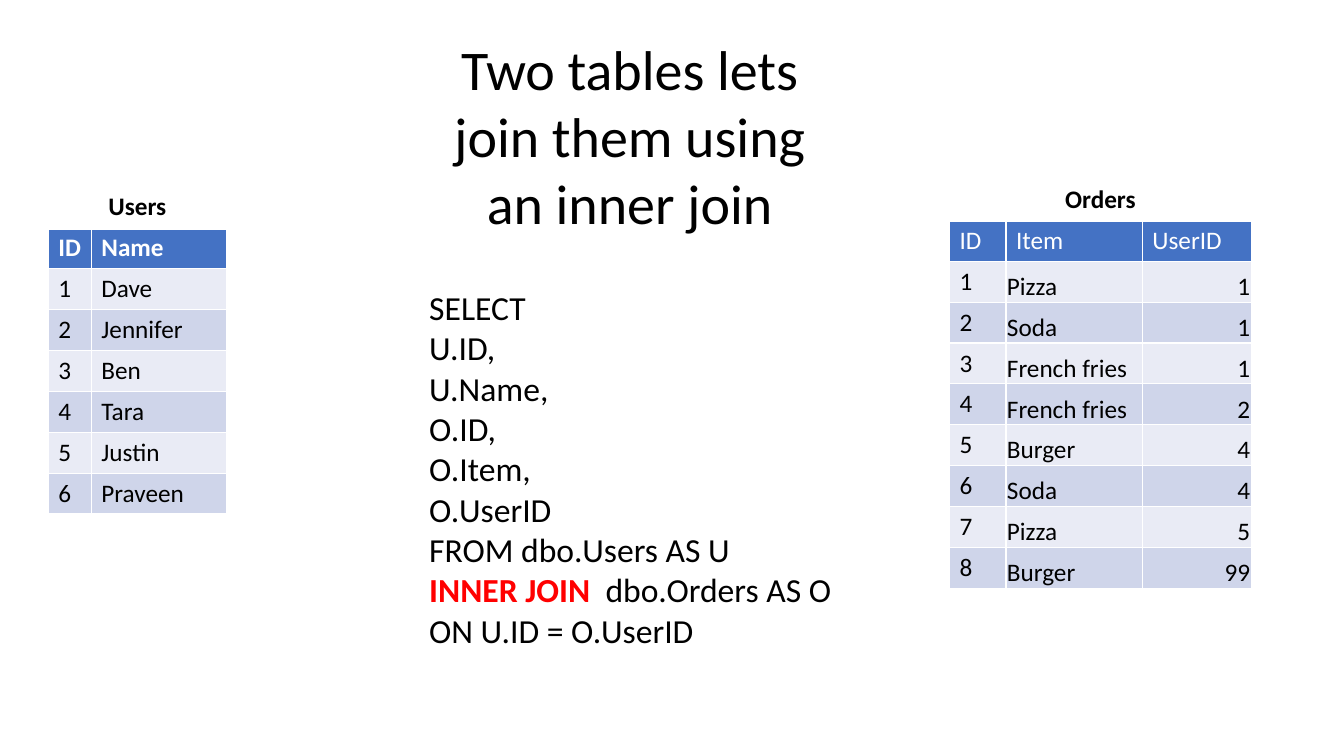
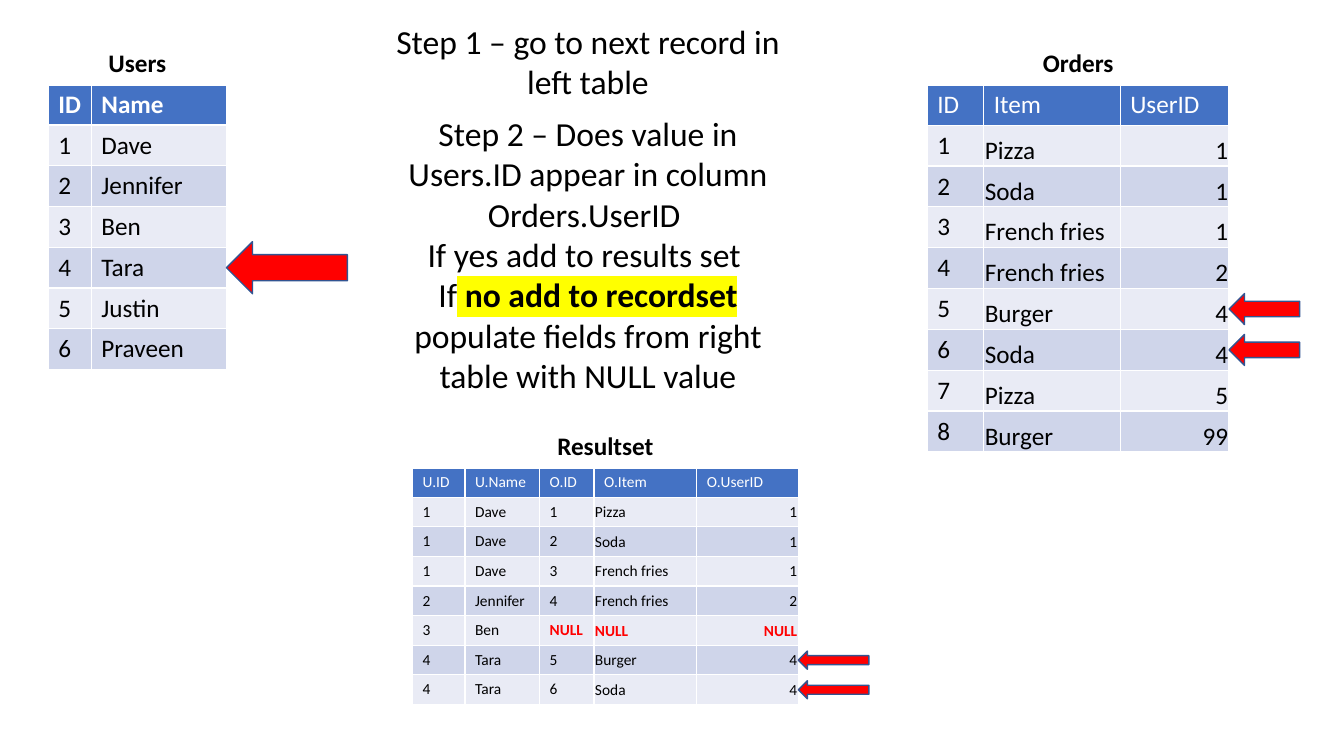
"""Build two slides that explain SQL joins with sample tables."""
from dataclasses import dataclass
from typing import NamedTuple

from lxml.etree import SubElement
from pptx import Presentation
from pptx.dml.color import RGBColor
from pptx.enum.shapes import MSO_SHAPE
from pptx.enum.text import MSO_ANCHOR, MSO_AUTO_SIZE, PP_ALIGN
from pptx.oxml.ns import qn
from pptx.slide import Slide
from pptx.util import Inches, Pt

WIDTH, HEIGHT = 13.33, 7.5
FONT = "Calibri"
TITLE_ROW = 5.45
COLORS = {
    "text": "000000", "paper": "FFFFFF", "header": "4472C4",
    "odd": "E9EBF5", "even": "CFD5EA", "alert": "FF0000",
    "outline": "325491", "marker": "FFFF00",
}


class Box(NamedTuple):
    """Place and size in percent of the slide."""
    left: float
    top: float
    width: float
    height: float


class Span(NamedTuple):
    """Stretch of text in one style."""
    text: str
    color: str = "text"
    bold: bool = False
    marked: bool = False
    breaks: bool = False


@dataclass(frozen=True)
class Grid:
    """Titled data table with column widths and height in percent."""
    title: str
    header: tuple[str, ...]
    records: tuple[tuple[str, ...], ...]
    columns: tuple[float, ...]
    height: float
    size: int = 18
    bold_header: bool = False
    tight_from: int = 99
    anchor: MSO_ANCHOR = MSO_ANCHOR.TOP
    tight_anchor: MSO_ANCHOR = MSO_ANCHOR.BOTTOM

    @property
    def row_height(self) -> float:
        """Return the height shared by all rows under the title."""
        return (self.height - TITLE_ROW) / (len(self.records) + 1)


@dataclass(frozen=True)
class Pointer:
    """Arrow size and the records it points at."""
    width: float
    height: float
    records: tuple[int, ...]


USERS = Grid(
    "Users", ("ID", "Name"),
    (("1", "Dave"), ("2", "Jennifer"), ("3", "Ben"),
     ("4", "Tara"), ("5", "Justin"), ("6", "Praveen")),
    (3.2, 10.05), 43.2, bold_header=True,
)
ORDERS = Grid(
    "Orders", ("ID", "Item", "UserID"),
    (("1", "Pizza", "1"), ("2", "Soda", "1"), ("3", "French fries", "1"),
     ("4", "French fries", "2"), ("5", "Burger", "4"), ("6", "Soda", "4"),
     ("7", "Pizza", "5"), ("8", "Burger", "99")),
    (4.2, 10.15, 8.1), 54.1, tight_from=1,
)
RESULTSET = Grid(
    "Resultset", ("U.ID", "U.Name", "O.ID", "O.Item", "O.UserID"),
    (("1", "Dave", "1", "Pizza", "1"), ("1", "Dave", "2", "Soda", "1"),
     ("1", "Dave", "3", "French fries", "1"),
     ("2", "Jennifer", "4", "French fries", "2"),
     ("3", "Ben", "NULL", "NULL", "NULL"),
     ("4", "Tara", "5", "Burger", "4"), ("4", "Tara", "6", "Soda", "4")),
    (3.9, 5.55, 4.05, 7.65, 7.55), 36.8, size=11, tight_from=3,
    anchor=MSO_ANCHOR.MIDDLE, tight_anchor=MSO_ANCHOR.MIDDLE,
)
HEADLINE = ((Span("Two tables lets join them using an inner join"),),)
QUERY = (
    *((Span(line),) for line in (
        "SELECT", "U.ID,", "U.Name,", "O.ID,", "O.Item,", "O.UserID",
        "FROM dbo.Users AS U")),
    (Span("INNER JOIN  ", "alert", True), Span("dbo.Orders AS O")),
    (Span("ON U.ID = O.UserID"),),
)
STEP_ONE = ((Span("Step 1 – go to next record in left table"),),)
STEP_TWO = (
    (Span("Step 2 – Does value in Users.ID appear in column"),),
    (Span("Orders.UserID "),),
    (Span("If yes add to results set "),),
    (Span("If"), Span(" ", marked=True),
     Span("no add to recordset", bold=True, marked=True, breaks=True),
     Span("populate fields from right table with NULL value")),
)


def across(share: float) -> int:
    """Turn a percentage of the slide width into a length."""
    return Inches(WIDTH * share / 100)


def down(share: float) -> int:
    """Turn a percentage of the slide height into a length."""
    return Inches(HEIGHT * share / 100)


def place(box: Box) -> tuple[int, int, int, int]:
    """Turn a box into left, top, width and height."""
    return across(box.left), down(box.top), across(box.width), down(box.height)


def rgb(color: str) -> RGBColor:
    """Look up a colour by its role."""
    return RGBColor.from_string(COLORS[color])


def style_run(run, size: float, color: str, bold: bool, marked: bool = False) -> None:
    """Format one run of text."""
    run.font.size = Pt(size)
    run.font.bold = bold
    run.font.color.rgb = rgb(color)
    if marked:
        highlight = SubElement(run.font._element, qn("a:highlight"))
        SubElement(highlight, qn("a:srgbClr"), val=COLORS["marker"])
    run.font.name = FONT


def add_text(slide: Slide, box: Box, lines: tuple[tuple[Span, ...], ...],
             size: float = 24, align: PP_ALIGN = PP_ALIGN.CENTER) -> None:
    """Add a text box with one paragraph per line of spans."""
    frame = slide.shapes.add_textbox(*place(box)).text_frame
    frame.word_wrap = True
    frame.auto_size = MSO_AUTO_SIZE.SHAPE_TO_FIT_TEXT
    for index, spans in enumerate(lines):
        paragraph = frame.add_paragraph() if index else frame.paragraphs[0]
        paragraph.alignment = align
        for span in spans:
            run = paragraph.add_run()
            run.text = span.text
            style_run(run, size, span.color, span.bold, span.marked)
            if span.breaks:
                paragraph.add_line_break()


def style_cell(cell, fill: str, bottom: float = 1) -> None:
    """Fill a cell and give it white borders."""
    cell.fill.solid()
    cell.fill.fore_color.rgb = rgb(fill)
    properties = cell._tc.get_or_add_tcPr()
    for index, side in enumerate(("lnL", "lnR", "lnT", "lnB")):
        width = Pt(bottom if side == "lnB" else 1)
        border = SubElement(properties, qn(f"a:{side}"), w=str(width))
        SubElement(SubElement(border, qn("a:solidFill")), qn("a:srgbClr"),
                   val=COLORS["paper"])
        properties.insert(index, border)


def write_cell(cell, text: str, size: float, color: str, bold: bool,
               align: PP_ALIGN = PP_ALIGN.LEFT) -> None:
    """Write one formatted paragraph into a cell."""
    paragraph = cell.text_frame.paragraphs[0]
    paragraph.text = text
    paragraph.alignment = align
    style_run(paragraph.runs[0], size, color, bold)


def add_grid(slide: Slide, grid: Grid, left: float, top: float,
             pointer: Pointer | None = None) -> None:
    """Draw a titled table and the arrows at its right edge."""
    width = sum(grid.columns)
    table = slide.shapes.add_table(
        len(grid.records) + 2, len(grid.columns),
        *place(Box(left, top, width, grid.height))).table
    for column, share in zip(table.columns, grid.columns):
        column.width = across(share)
    for index, row in enumerate(table.rows):
        row.height = down(grid.row_height if index else TITLE_ROW)

    for cell in table.rows[0].cells:
        style_cell(cell, "paper", bottom=3)
    title = table.cell(0, 0)
    title.merge(table.cell(0, len(grid.columns) - 1))
    write_cell(title, grid.title, 18, "text", True, PP_ALIGN.CENTER)

    for column, label in enumerate(grid.header):
        cell = table.cell(1, column)
        style_cell(cell, "header")
        cell.vertical_anchor = grid.anchor
        write_cell(cell, label, grid.size, "paper", grid.bold_header)

    for number, record in enumerate(grid.records, start=1):
        for column, value in enumerate(record):
            cell = table.cell(number + 1, column)
            style_cell(cell, "odd" if number % 2 else "even")
            tight = column >= grid.tight_from
            cell.vertical_anchor = grid.tight_anchor if tight else grid.anchor
            if tight:
                cell.margin_left = cell.margin_right = cell.margin_top = Inches(0.01)
                cell.margin_bottom = 0
            missing = value == "NULL"
            align = PP_ALIGN.RIGHT if column > grid.tight_from else PP_ALIGN.LEFT
            write_cell(cell, value, grid.size, "alert" if missing else "text",
                       missing, align)

    for number in pointer.records if pointer else ():
        middle = top + TITLE_ROW + (number + 0.5) * grid.row_height
        add_arrow(slide, Box(left + width, middle - pointer.height / 2,
                             pointer.width, pointer.height))


def add_arrow(slide: Slide, box: Box) -> None:
    """Draw a red arrow that points left."""
    arrow = slide.shapes.add_shape(MSO_SHAPE.LEFT_ARROW, *place(box))
    arrow.shadow.inherit = False
    arrow.fill.solid()
    arrow.fill.fore_color.rgb = rgb("alert")
    arrow.line.color.rgb = rgb("outline")
    arrow.line.width = Pt(1)


def build_query(slide: Slide) -> None:
    """Show both tables and the join query."""
    add_grid(slide, USERS, 3.6, 24.7)
    add_grid(slide, ORDERS, 70.65, 23.7)
    add_text(slide, Box(31.2, 3.9, 31.3, 28.3), HEADLINE, size=40)
    add_text(slide, Box(31.2, 37.3, 32.2, 49.9), QUERY, align=PP_ALIGN.LEFT)


def build_steps(slide: Slide) -> None:
    """Show how matching records reach the result set."""
    add_grid(slide, USERS, 3.6, 5.7, Pointer(9, 6.9, (4,)))
    add_grid(slide, ORDERS, 69, 5.7, Pointer(5.25, 4.1, (5, 6)))
    add_text(slide, Box(28.1, 2.1, 31.3, 12.1), STEP_ONE)
    add_text(slide, Box(28.1, 14.3, 31.3, 39.1), STEP_TWO)
    add_grid(slide, RESULTSET, 30.7, 56.4, Pointer(5.25, 2.4, (6, 7)))


def main() -> None:
    """Build and save the presentation."""
    deck = Presentation()
    deck.slide_width, deck.slide_height = Inches(WIDTH), Inches(HEIGHT)
    for build in (build_query, build_steps):
        build(deck.slides.add_slide(deck.slide_layouts[6]))
    deck.save("out.pptx")


if __name__ == "__main__":
    main()
